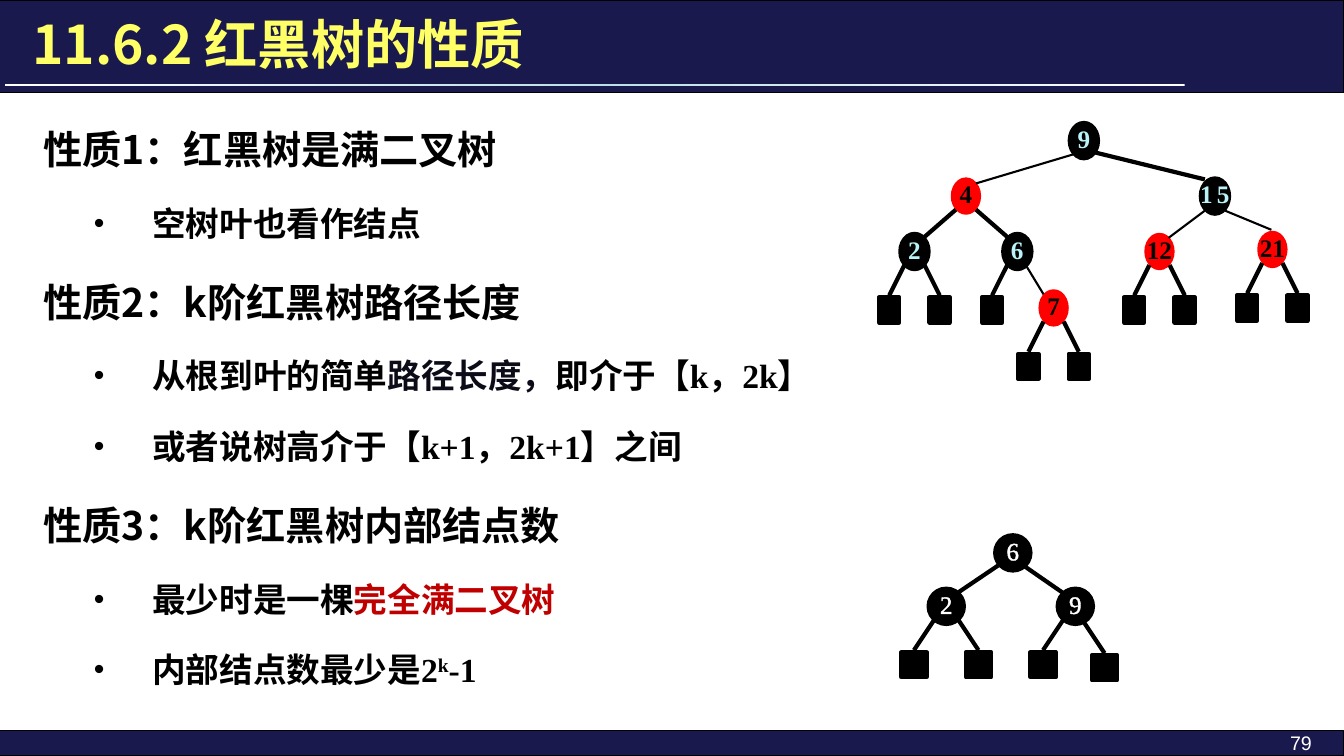
from dataclasses import dataclass

from lxml.etree import SubElement
from pptx import Presentation
from pptx.dml.color import RGBColor
from pptx.enum.shapes import MSO_CONNECTOR, MSO_SHAPE
from pptx.enum.text import MSO_ANCHOR, MSO_AUTO_SIZE, PP_ALIGN
from pptx.oxml import parse_xml
from pptx.oxml.ns import nsdecls, qn
from pptx.util import Inches, Pt


@dataclass(frozen=True)
class Theme:
    navy: str = "19194D"
    yellow: str = "FFFF66"
    black: str = "000000"
    white: str = "FFFFFF"
    red: str = "FF0000"
    dark_red: str = "C00000"
    ink: str = "0B0C17"
    glow: str = "F9FCFC"
    shine: tuple = ((10, "B9F3F8"), (75, "83ACAF"))
    rule: tuple = ((0, "FFFFFF"), (50, "BBE0E3"), (100, "FFFFFF"))
    title_size: int = 38
    heading_size: int = 28
    item_size: int = 24
    node_size: int = 18
    page_size: int = 14
    sans: str = "Noto Sans CJK SC"
    serif: str = "Times New Roman"
    plain: str = "Arial"


T = Theme()


@dataclass(frozen=True)
class TreeStyle:
    node: tuple    # node width and height
    leaf: tuple    # leaf width and height
    reach: float   # leaf centre from node centre
    joint: float   # edge end from node centre


SEARCH_TREE = TreeStyle((0.28, 0.35), (0.2, 0.25), 0.25, 0.1)
FULL_TREE = TreeStyle((0.35, 0.35), (0.25, 0.25), 0.32, 0.12)


def gradient(stops, angle):
    marks = "".join(f'<a:gs pos="{pos * 1000}"><a:srgbClr val="{color}"/></a:gs>'
                    for pos, color in stops)
    return parse_xml(f'<a:gradFill {nsdecls("a")}><a:gsLst>{marks}</a:gsLst>'
                     f'<a:lin ang="{angle * 60000}" scaled="0"/></a:gradFill>')


def add_text(paragraph, text, *, size, face=T.serif, color=T.black, bold=True,
             raised=0, spacing=0, outline=None):
    """Add one run; color is a hex value or a tuple of gradient stops."""
    run = paragraph.add_run()
    run.text = text
    font = run.font
    font.size, font.bold, font.name = Pt(size), bold, face
    props = font._element
    SubElement(props, qn("a:ea")).set("typeface", T.sans)
    if isinstance(color, tuple):
        props.insert(0, gradient(color, 90))
    else:
        font.color.rgb = RGBColor.from_string(color)
    if raised:
        props.set("baseline", str(raised * 1000))
    if spacing:
        props.set("spc", str(spacing * 100))
    if outline:
        line_color, width = outline
        props.insert(0, parse_xml(
            f'<a:ln {nsdecls("a")} w="{Pt(width)}"><a:solidFill>'
            f'<a:srgbClr val="{line_color}"/></a:solidFill></a:ln>'))


def add_block(shapes, kind, left, top, width, height, fill, line_width):
    block = shapes.add_shape(kind, *map(Inches, (left, top, width, height)))
    block.shadow.inherit = False
    block.fill.solid()
    block.fill.fore_color.rgb = RGBColor.from_string(fill)
    edge = T.black if fill == T.navy else fill
    block.line.color.rgb = RGBColor.from_string(edge)
    block.line.width = Pt(line_width)
    return block


def add_edge(shapes, x1, y1, x2, y2, width=3):
    edge = shapes.add_connector(MSO_CONNECTOR.STRAIGHT,
                                *map(Inches, (x1, y1, x2, y2)))
    edge.line.color.rgb = RGBColor.from_string(T.black)
    edge.line.width = Pt(width)
    SubElement(edge._element.spPr, qn("a:effectLst"))


def add_node(shapes, style, label, left, top, fill, line_width=3, **text_format):
    node = add_block(shapes, MSO_SHAPE.OVAL, left, top, *style.node, fill, line_width)
    frame = node.text_frame
    frame.word_wrap = False
    frame.vertical_anchor = MSO_ANCHOR.MIDDLE
    frame.margin_left = frame.margin_right = frame.margin_top = 0
    frame.margin_bottom = Inches(0.05)
    frame.paragraphs[0].alignment = PP_ALIGN.CENTER
    add_text(frame.paragraphs[0], label, size=T.node_size, **text_format)


def add_leaf(shapes, style, left, top, side, shift=0, drop=0):
    """Hang an empty leaf from a node; side is -1 for left, 1 for right."""
    center = left + style.node[0] / 2 + shift
    leaf_center = center + side * style.reach
    add_block(shapes, MSO_SHAPE.RECTANGLE, leaf_center - style.leaf[0] / 2,
              top + 0.63 + drop, *style.leaf, T.black, 3)
    add_edge(shapes, leaf_center, top + 0.61 + drop,
             center + side * style.joint, top + 0.31 + drop)


def draw_frame(shapes):
    for top, height in ((7.25, 0.25), (0, 0.92)):
        add_block(shapes, MSO_SHAPE.RECTANGLE, 0, top, 13.33, height, T.navy, 0.75)
    rule = add_block(shapes, MSO_SHAPE.RECTANGLE, 0.05, 0.83, 11.7, 0.02, T.white, 0.75)
    rule.line.fill.background()
    solid = rule._element.spPr.find(qn("a:solidFill"))
    solid.getparent().replace(solid, gradient(T.rule, 0))


def place(holder, left, top, width, height):
    holder.left, holder.top, holder.width, holder.height = map(
        Inches, (left, top, width, height))


def write_title(title):
    place(title, 0.22, 0.08, 11.55, 0.7)
    title.text_frame.vertical_anchor = MSO_ANCHOR.MIDDLE
    title.text_frame.paragraphs[0].alignment = PP_ALIGN.LEFT
    add_text(title.text_frame.paragraphs[0], "11.6.2 红黑树的性质",
             size=T.title_size, face=T.sans, color=T.yellow)


def format_line(paragraph, level, first):
    paragraph.level = level
    paragraph.alignment = PP_ALIGN.LEFT
    paragraph.line_spacing = 1.5
    props = paragraph._p.get_or_add_pPr()
    margin, hanging = ((0.67, 0.67), (1.08, 0.58))[level]
    props.set("marL", str(Inches(margin)))
    props.set("indent", str(-Inches(hanging)))
    before = SubElement(props, qn("a:spcBef"))
    SubElement(before, qn("a:spcPct")).set("val", "0" if first else "30000")
    if level:
        SubElement(props, qn("a:buSzPct")).set("val", "90000")
        SubElement(props, qn("a:buFont")).set("typeface", T.plain)
        SubElement(props, qn("a:buChar")).set("char", "•")
    else:
        SubElement(props, qn("a:buNone"))


def write_properties(body):
    place(body, 0.33, 0.96, 12.64, 6.07)
    frame = body.text_frame
    frame.vertical_anchor = MSO_ANCHOR.TOP
    frame.auto_size = MSO_AUTO_SIZE.TEXT_TO_FIT_SHAPE
    properties = (
        ("性质1", "红黑树是满二叉树", ([("空树叶也看作结点", {})],)),
        ("性质2", "k阶红黑树路径长度", (
            [("从根到叶的简单", {}), ("路径长度，", {"color": T.ink}),
             ("即介于【k，2k】", {})],
            [("或者说树高介于【k+1，2k+1】之间", {})])),
        ("性质3", "k阶红黑树内部结点数", (
            [("最少时是一棵", {}), ("完全满二叉树", {"color": T.dark_red})],
            [("内部结点数最少是2", {}), ("k", {"raised": 30}), ("-1", {})])),
    )
    for index, (name, statement, items) in enumerate(properties):
        heading = frame.add_paragraph() if index else frame.paragraphs[0]
        format_line(heading, 0, first=index == 0)
        for text, face in ((name, T.sans), ("：", T.serif), (statement, T.sans)):
            add_text(heading, text, size=T.heading_size, face=face)
        for parts in items:
            item = frame.add_paragraph()
            format_line(item, 1, first=False)
            for text, text_format in parts:
                add_text(item, text, size=T.item_size, **text_format)


def draw_search_tree(shapes):
    black = dict(fill=T.black, color=T.shine, spacing=3, outline=(T.glow, 0.9))
    red = dict(fill=T.red, line_width=1.5, outline=(T.black, 0.71))
    # label, left, top, look, sides with an empty leaf
    nodes = (("9", 10.61, 1.22, black, ()), ("15", 11.91, 1.77, black, ()),
             ("4", 9.44, 1.77, red, ()), ("6", 9.95, 2.32, black, (-1,)),
             ("2", 8.93, 2.32, black, (-1, 1)), ("12", 11.36, 2.32, red, (-1, 1)),
             ("7", 10.31, 2.88, red, (-1, 1)), ("21", 12.48, 2.3, red, (-1, 1)))
    for label, left, top, look, sides in nodes:
        add_node(shapes, SEARCH_TREE, label, left, top, **look)
        for side in sides:
            add_leaf(shapes, SEARCH_TREE, left, top, side)
    for edge in ((10.65, 1.53, 9.68, 1.82, 1.5), (11.95, 1.78, 10.85, 1.51),
                 (12.61, 2.28, 12.15, 2.09, 1.5), (11.59, 2.36, 11.95, 2.09, 1.5),
                 (10.35, 2.92, 10.18, 2.64, 1.5), (9.17, 2.35, 9.48, 2.08),
                 (9.99, 2.35, 9.68, 2.08)):
        add_edge(shapes, *edge)


def draw_full_tree(shapes):
    for label, left, top in (("6", 9.87, 5.31), ("9", 10.49, 5.84), ("2", 9.21, 5.84)):
        add_node(shapes, FULL_TREE, label, left, top, T.black, color=T.white,
                 bold=False, outline=(T.white, 1.45))
    for left, side, shift, drop in ((9.21, -1, 0, 0), (9.21, 1, 0, 0),
                                    (10.49, -1, 0, 0), (10.49, 1, -0.03, 0.03)):
        add_leaf(shapes, FULL_TREE, left, 5.84, side, shift, drop)
    for child_x, root_x in ((9.5, 9.9), (10.54, 10.15)):
        add_edge(shapes, child_x, 5.88, root_x, 5.61)


def write_page_number(shapes):
    page = shapes.add_textbox(*map(Inches, (11.11, 7.2, 2, 0.25))).text_frame
    page.word_wrap = True
    page.paragraphs[0].alignment = PP_ALIGN.RIGHT
    add_text(page.paragraphs[0], "79", size=T.page_size, face=T.plain,
             color=T.white, bold=False)


def main():
    deck = Presentation()
    deck.slide_width, deck.slide_height = Inches(13.33), Inches(7.5)
    slide = deck.slides.add_slide(deck.slide_layouts[1])
    shapes = slide.shapes
    title, body = slide.placeholders
    draw_frame(shapes)
    # Bring the title and list in front of the frame
    for holder in (title, body):
        shapes._spTree.append(holder._element)
    write_title(title)
    write_properties(body)
    draw_full_tree(shapes)
    draw_search_tree(shapes.add_group_shape().shapes)
    write_page_number(shapes)
    deck.save("out.pptx")


if __name__ == "__main__":
    main()
